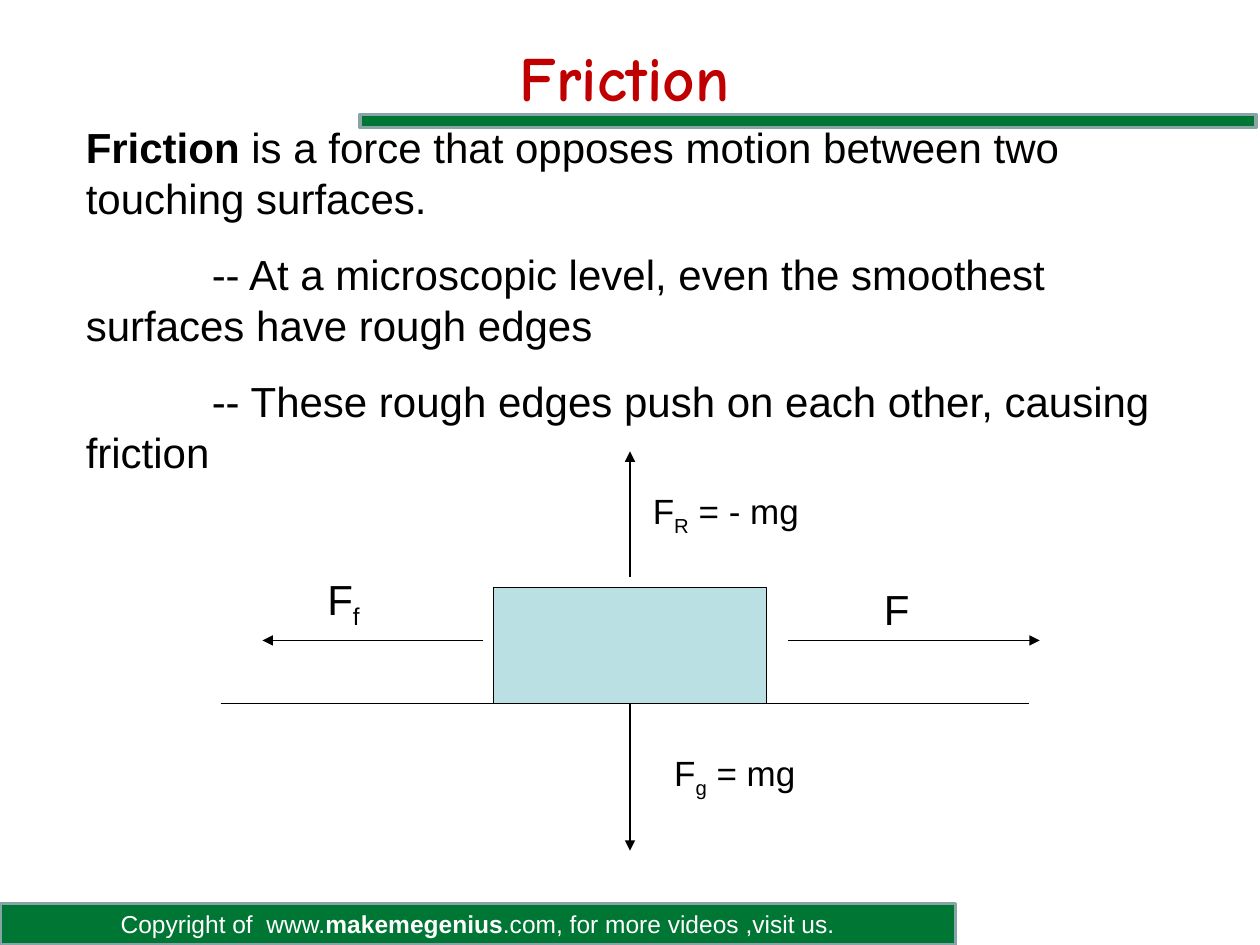
from lxml.etree import SubElement
from pptx import Presentation
from pptx.dml.color import RGBColor
from pptx.enum.shapes import MSO_CONNECTOR, MSO_SHAPE
from pptx.enum.text import MSO_ANCHOR, MSO_AUTO_SIZE, PP_ALIGN
from pptx.oxml.ns import qn
from pptx.util import Cm, Pt


def color(hex_string):
    return RGBColor.from_string(hex_string)


def write(paragraph, parts, size, hex_color="000000", font="Arial"):
    """Fill a paragraph with (text, style) parts; style is "", "bold" or "sub"."""
    for text, style in parts:
        run = paragraph.add_run()
        run.text = text
        run.font.size = Pt(size)
        run.font.name = font
        run.font.bold = style == "bold"
        run.font.color.rgb = color(hex_color)
        if style == "sub":
            run.font._element.set("baseline", "-25000")


presentation = Presentation()
presentation.slide_width = Cm(25.4)
presentation.slide_height = Cm(19.05)
slide = presentation.slides.add_slide(presentation.slide_layouts[5])
shapes = slide.shapes

# Title
title = shapes.title
title.left, title.top, title.width, title.height = Cm(1.27), Cm(0.64), Cm(22.65), Cm(1.78)
title.text_frame.auto_size = MSO_AUTO_SIZE.NONE
title.text_frame.vertical_anchor = MSO_ANCHOR.TOP
heading = title.text_frame.paragraphs[0]
heading.alignment = PP_ALIGN.CENTER
write(heading, [("Friction", "bold")], 36, "C00000", "Comic Neue")

# Title bar, footer band and sliding block
rectangles = []
for left, top, width, height, fill, outline, weight in [
    (7.26, 2.31, 18.06, 0.26, "007635", "89A4A7", 2),
    (0, 18.21, 19.26, 0.84, "007635", "89A4A7", 2),
    (9.95, 11.85, 5.5, 2.33, "BBE0E3", "000000", 0.75),
]:
    rectangle = shapes.add_shape(MSO_SHAPE.RECTANGLE, Cm(left), Cm(top), Cm(width), Cm(height))
    rectangle.shadow.inherit = False
    rectangle.fill.solid()
    rectangle.fill.fore_color.rgb = color(fill)
    rectangle.line.color.rgb = color(outline)
    rectangle.line.width = Pt(weight)
    rectangles.append(rectangle)

# Footer wording
footer = rectangles[1].text_frame
footer.word_wrap = True
footer.vertical_anchor = MSO_ANCHOR.MIDDLE
footer.paragraphs[0].alignment = PP_ALIGN.CENTER
write(footer.paragraphs[0], [
    ("Copyright of  www.", ""),
    ("makemegenius", "bold"),
    (".com, for more videos ,visit us.", ""),
], 14, "FFFFFF")

# Definition and its two explanations
definition = shapes.add_textbox(Cm(1.48), Cm(2.33), Cm(22.65), Cm(7.41)).text_frame
definition.word_wrap = True
statements = [
    [("Friction", "bold"), (" is a force that opposes motion between two touching surfaces.", "")],
    [("\t-- At a microscopic level, even the smoothest surfaces have rough edges", "")],
    [("\t-- These rough edges push on each other, causing friction", "")],
]
for number, parts in enumerate(statements):
    if number == 0:
        statement = definition.paragraphs[0]
    else:
        statement = definition.add_paragraph()
        statement.space_before = Pt(15)
        tab_stops = SubElement(statement._p.get_or_add_pPr(), qn("a:tabLst"))
        SubElement(tab_stops, qn("a:tab"), pos=str(Cm(2.54)), algn="l")
    write(statement, parts, 24)

# Ground line and force arrows
for x1, y1, x2, y2, is_force in [
    (4.45, 14.18, 20.74, 14.18, False),
    (9.74, 12.91, 5.29, 12.91, True),
    (12.7, 11.64, 12.7, 9.1, True),
    (12.7, 14.18, 12.7, 17.15, True),
    (15.88, 12.91, 20.96, 12.91, True),
]:
    force = shapes.add_connector(MSO_CONNECTOR.STRAIGHT, Cm(x1), Cm(y1), Cm(x2), Cm(y2))
    force.line.color.rgb = color("000000")
    force.line.width = Pt(0.75)
    if is_force:
        SubElement(force.line._get_or_add_ln(), qn("a:tailEnd"), type="triangle")
    SubElement(force._element.spPr, qn("a:effectLst"))

# Force labels
for left, top, width, height, size, parts in [
    (13.34, 15.03, 3.18, 1.22, 20, [("F", ""), ("g", "sub"), (" = mg", "")]),
    (12.91, 9.74, 3.81, 1.22, 20, [("F", ""), ("R", "sub"), (" = - mg", "")]),
    (17.57, 11.64, 1.69, 1.27, 24, [("F", "")]),
    (6.35, 11.43, 2.12, 1.42, 24, [("F", ""), ("f", "sub")]),
]:
    label = shapes.add_textbox(Cm(left), Cm(top), Cm(width), Cm(height)).text_frame
    label.word_wrap = True
    write(label.paragraphs[0], parts, size)

presentation.save("out.pptx")
